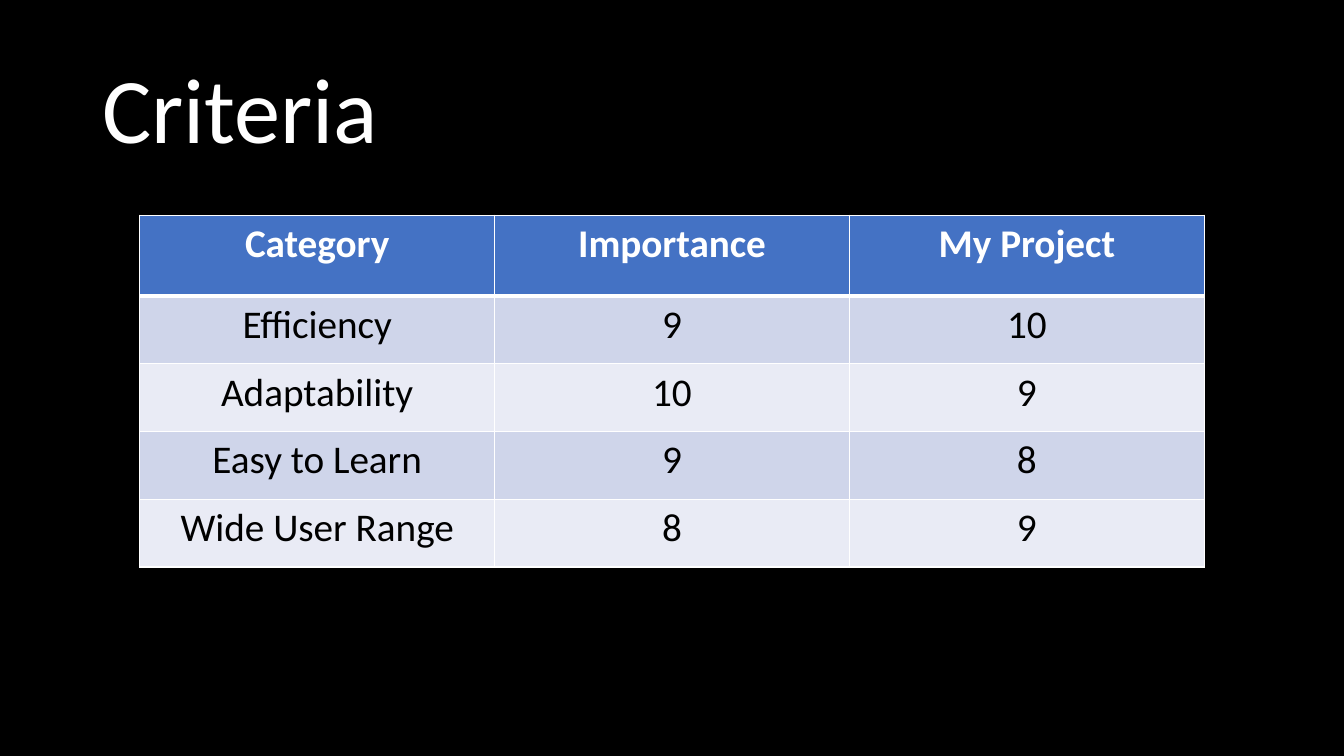
"""Build the criteria slide: a title above a table of scores."""
from dataclasses import dataclass

from lxml import etree
from pptx import Presentation
from pptx.dml.color import RGBColor
from pptx.enum import text
from pptx.oxml import ns
from pptx.util import Pt


@dataclass(frozen=True)
class Theme:
    """Hold the colours, the font and the type sizes."""
    back: str = "000000"
    light: str = "FFFFFF"
    dark: str = "000000"
    head: str = "4472C4"
    bands: tuple = ("CFD5EA", "E9EBF5")
    face: str = "Calibri"
    title: int = 66
    body: int = 28


THEME = Theme()
ROWS = [
    ("Category", "Importance", "My Project"),
    ("Efficiency", "9", "10"),
    ("Adaptability", "10", "9"),
    ("Easy to Learn", "9", "8"),
    ("Wide User Range", "8", "9"),
]


def paint(fill, color):
    """Give a fill one solid colour."""
    fill.solid()
    fill.fore_color.rgb = RGBColor.from_string(color)


def style(item, values):
    """Set each attribute of an item from a dict."""
    for name, value in values.items():
        setattr(item, name, value)


def write(frame, words, size, color, bold=False, **para):
    """Write one styled paragraph into a text frame."""
    line = frame.paragraphs[0]
    style(line, para)
    run = line.add_run()
    run.text = words
    style(run.font, {"name": THEME.face, "size": Pt(size), "bold": bold})
    run.font.color.rgb = RGBColor.from_string(color)


def edge(cell, side, width):
    """Draw one light border of a cell."""
    props = cell._tc.get_or_add_tcPr()
    line = etree.SubElement(props, ns.qn(f"a:ln{side}"), w=str(Pt(width)))
    fill = etree.SubElement(line, ns.qn("a:solidFill"))
    etree.SubElement(fill, ns.qn("a:srgbClr"), val=THEME.light)


def add_title(slide, words, box):
    """Add the slide title, centred in height."""
    frame = slide.shapes.add_textbox(*map(Pt, box)).text_frame
    style(frame, {"word_wrap": True, "vertical_anchor": text.MSO_ANCHOR.MIDDLE})
    write(frame, words, THEME.title, THEME.light, line_spacing=0.9)


def fill_cell(cell, words, row):
    """Write, border and colour one cell by its row."""
    head = row == 0
    write(cell.text_frame, words, THEME.body, THEME.light if head else THEME.dark,
          head, alignment=text.PP_ALIGN.CENTER)
    for side, width in {"L": 1, "R": 1, "T": 3 if row == 1 else 1,
                        "B": 3 if head else 1}.items():
        edge(cell, side, width)
    paint(cell.fill, THEME.head if head else THEME.bands[(row - 1) % 2])


def add_grid(slide, rows, spot, width, top, rest):
    """Add a table with a tall head row and equal columns."""
    cols = len(rows[0])
    size = (width * cols, top + rest * (len(rows) - 1))
    grid = slide.shapes.add_table(len(rows), cols, *map(Pt, spot + size)).table
    for col in grid.columns:
        col.width = Pt(width)
    for row, words in enumerate(rows):
        grid.rows[row].height = Pt(rest if row else top)
        for col, word in enumerate(words):
            fill_cell(grid.cell(row, col), word, row)


def main():
    """Build and save the slide."""
    deck = Presentation()
    style(deck, {"slide_width": Pt(960), "slide_height": Pt(540)})
    slide = deck.slides.add_slide(deck.slide_layouts[6])
    paint(slide.background.fill, THEME.back)
    add_title(slide, "Criteria", (66, 28.75, 828, 104.4))
    add_grid(slide, ROWS, (99.8, 153.8), 253.5, 57.6, 48.4)
    deck.save("out.pptx")


if __name__ == "__main__":
    main()
